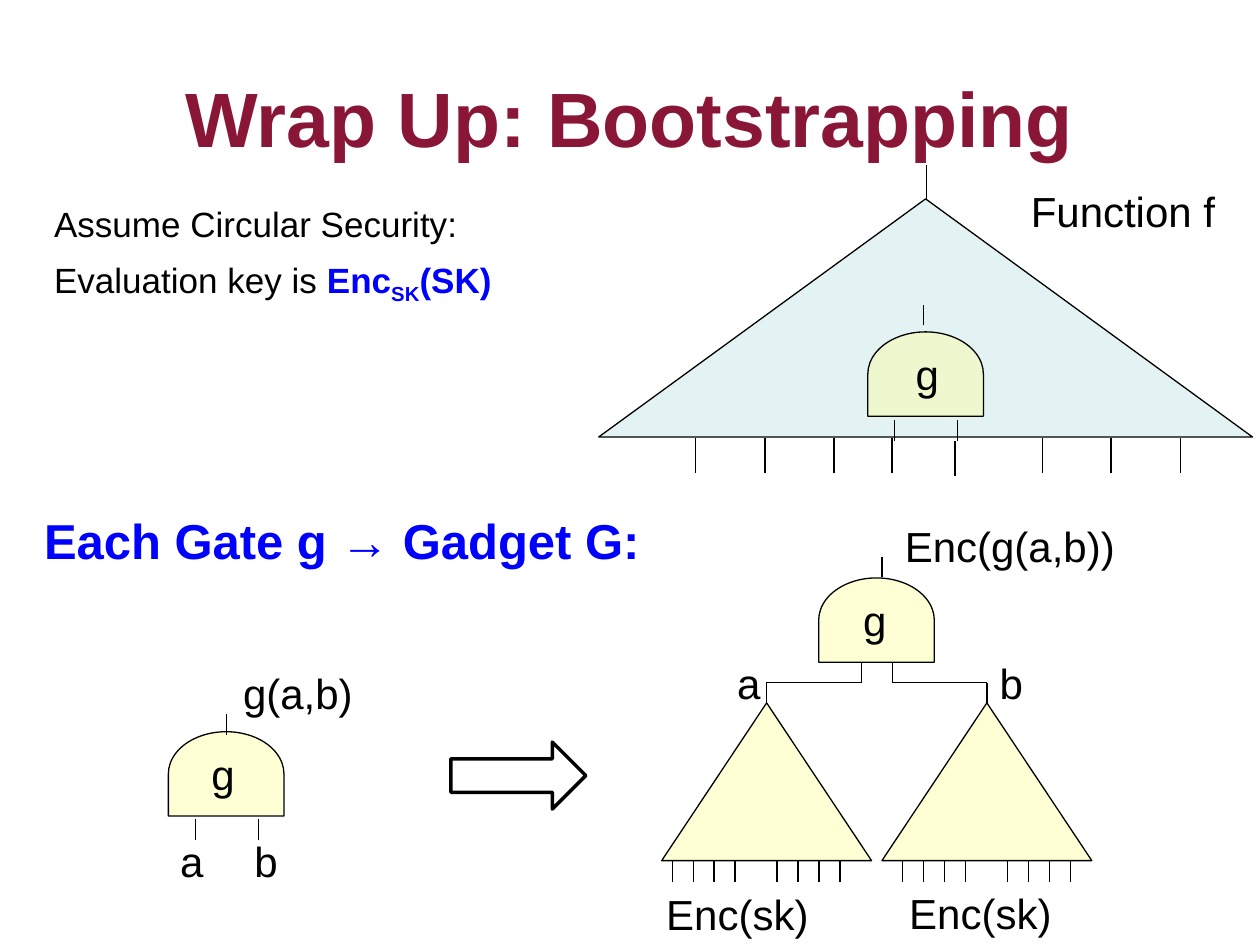
from lxml import etree
from pptx import Presentation
from pptx.dml.color import RGBColor
from pptx.enum import shapes as kinds, text
from pptx.oxml.ns import qn
from pptx.util import Cm, Pt

COLORS = {"title": "891637", "blue": "0000FF", "black": "000000",
          "function": "BBE0E3", "gadget": "FFFF99"}
RGB = {role: RGBColor.from_string(value) for role, value in COLORS.items()}

prs = Presentation()
prs.slide_width, prs.slide_height = Cm(25.4), Cm(19.05)
slide = prs.slides.add_slide(prs.slide_layouts[5])


def wire(x1, y1, x2, y2):
    line = slide.shapes.add_connector(
        kinds.MSO_CONNECTOR.STRAIGHT, Cm(x1), Cm(y1), Cm(x2), Cm(y2))
    line.line.color.rgb = RGB["black"]
    line.line.width = Pt(0.75)
    etree.SubElement(line._element.spPr, qn("a:effectLst"))


def label(words, x, y, width, height=1.27, size=24, color="black", bold=False):
    box = slide.shapes.add_textbox(Cm(x), Cm(y), Cm(width), Cm(height))
    box.text_frame.word_wrap = True
    paragraph = box.text_frame.paragraphs[0]
    paragraph.text = words
    paragraph.font.name = "Arial"
    paragraph.font.size = Pt(size)
    paragraph.font.bold = bold
    paragraph.font.color.rgb = RGB[color]
    return paragraph


# Title
title = slide.shapes.title
title.left, title.top, title.width, title.height = Cm(1.27), Cm(0.76), Cm(22.86), Cm(3.18)
title.text_frame.vertical_anchor = text.MSO_ANCHOR.MIDDLE
heading = title.text_frame.paragraphs[0]
heading.text = "Wrap Up: Bootstrapping"
heading.alignment = text.PP_ALIGN.CENTER
heading.font.name = "Arial"
heading.font.size = Pt(44)
heading.font.bold = True
heading.font.color.rgb = RGB["title"]

# Function, gadget triangles, gates (turned to point up) and arrow
TRIANGLE = kinds.MSO_SHAPE.ISOSCELES_TRIANGLE
GATE = kinds.MSO_SHAPE.FLOWCHART_DELAY
ARROW = kinds.MSO_SHAPE.RIGHT_ARROW
gate_w, gate_h = 1.7, 2.33
gate_centers = [(18.66, 7.54), (4.56, 15.6), (17.67, 12.5)]
outlines = [(TRIANGLE, 12.07, 4.01, 13.18, 4.8, "function"),
            (TRIANGLE, 13.34, 14.17, 4.23, 3.18, "gadget"),
            (TRIANGLE, 17.78, 14.17, 4.23, 3.18, "gadget"),
            (ARROW, 9.09, 14.96, 2.72, 1.35, None)]
outlines += [(GATE, x - gate_w / 2, y - gate_h / 2, gate_w, gate_h, "gadget")
             for x, y in gate_centers]
for kind, x, y, width, height, fill in outlines:
    part = slide.shapes.add_shape(kind, Cm(x), Cm(y), Cm(width), Cm(height))
    part.shadow.inherit = False
    part.line.color.rgb = RGB["black"]
    part.line.width = Pt(2 if kind == ARROW else 0.75)
    part.rotation = 270 if kind == GATE else 0
    if fill is None:
        part.fill.background()
        continue
    part.fill.solid()
    part.fill.fore_color.rgb = RGB[fill]
    tint = part._element.spPr.find(qn("a:solidFill"))[0]
    etree.SubElement(tint, qn("a:alpha"), val="41000")

# Vertical wires: top, bottom and the positions across
slots = (0, 1, 2, 3, 5, 6, 7, 8)
key_inputs = [start + 0.423 * slot for start in (13.55, 18.2) for slot in slots]
for top, bottom, positions in [
    (3.33, 4.01, [18.67]),                                            # function output
    (8.82, 9.53, [14.02, 15.42, 16.81, 17.98, 21.01, 22.4, 23.8]),    # function inputs
    (8.89, 9.6, [19.25]),
    (6.15, 6.56, [18.62]),                                            # gate in the function
    (8.46, 8.89, [18.03, 19.3]),
    (14.39, 14.82, [4.57]),                                           # single gate
    (16.51, 16.93, [3.94, 5.21]),
    (11.22, 11.64, [17.78]),                                          # gadget
    (13.34, 13.76, [17.36, 17.99]),
    (13.76, 14.17, [15.45, 19.9]),
    (17.36, 17.78, key_inputs),
]:
    for x in positions:
        wire(x, bottom, x, top)
for left, right in [(15.45, 17.36), (17.99, 19.9)]:
    wire(left, 13.76, right, 13.76)

# Diagram labels
for words, x, y, width in [
    ("g", 18.21, 6.91, 2.11), ("g", 4.01, 14.96, 2.11), ("g", 17.15, 11.86, 2.11),
    ("a", 3.38, 16.71, 2.11), ("b", 4.88, 16.71, 2.11), ("g(a,b)", 4.65, 13.34, 3.38),
    ("a", 14.61, 13.13, 2.11), ("b", 19.9, 13.13, 2.11),
    ("Enc(sk)", 13.18, 17.78, 4.75), ("Enc(sk)", 18.08, 17.76, 4.75),
    ("Enc(g(a,b))", 17.99, 10.36, 6.15), ("Function f", 20.53, 3.61, 5.28),
]:
    label(words, x, y, width)

# Statements
label("Each Gate g → Gadget G:", 0.64, 10.16, 16.31, 1.45, 28, "blue", True)
label("Assume Circular Security:", 0.84, 3.96, 11.66, 1.12, 20)
key = label("Evaluation key is ", 0.84, 5.08, 11.66, 1.12, 20)
for words, baseline in [("Enc", 0), ("SK", -25000), ("(SK)", 0)]:
    run = key.add_run()
    run.text = words
    run.font.bold = True
    run.font.color.rgb = RGB["blue"]
    run._r.get_or_add_rPr().set("baseline", str(baseline))

prs.save("out.pptx")
